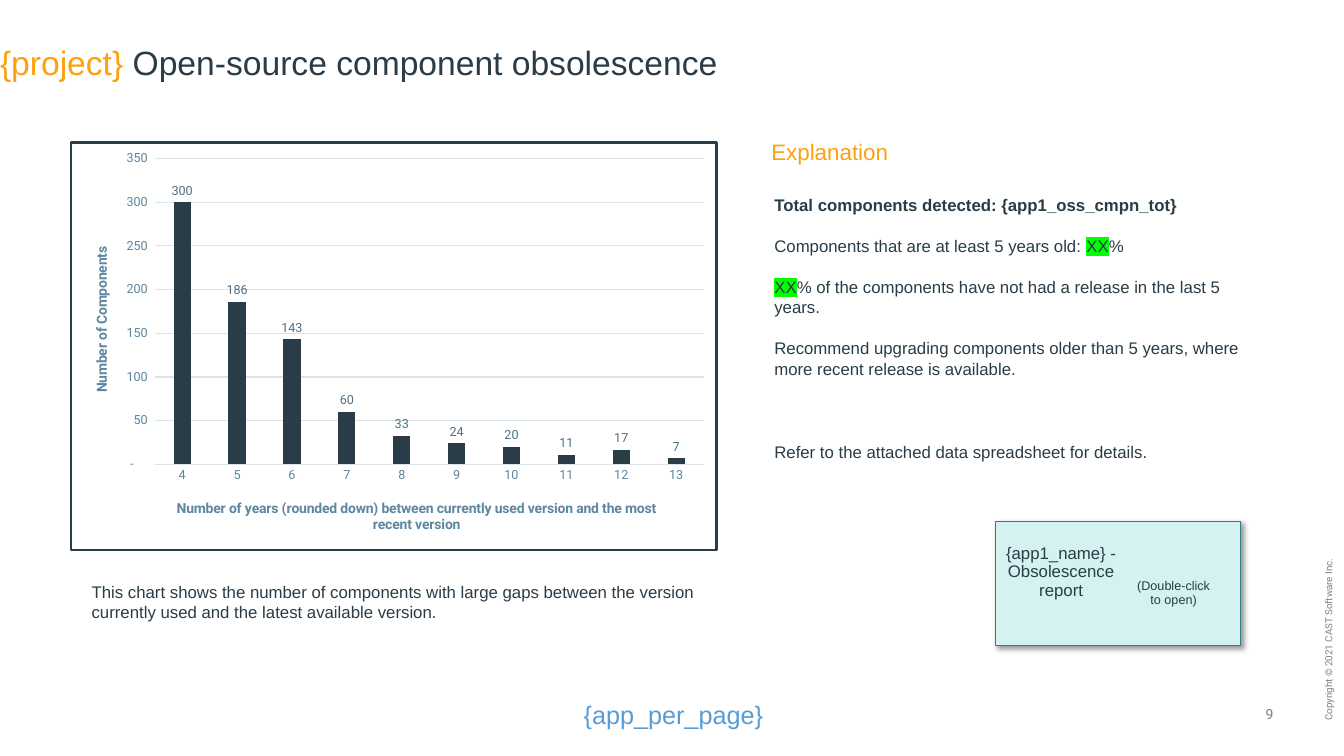
from lxml.etree import SubElement
from pptx import Presentation
from pptx.chart.data import CategoryChartData
from pptx.dml.color import RGBColor
from pptx.enum.chart import XL_CHART_TYPE, XL_LABEL_POSITION, XL_TICK_MARK
from pptx.enum.shapes import MSO_SHAPE
from pptx.enum.text import MSO_ANCHOR, MSO_AUTO_SIZE, PP_ALIGN
from pptx.oxml import parse_xml
from pptx.oxml.ns import nsdecls, qn
from pptx.util import Inches, Pt


class Theme:
    dark, orange, blue, gray = "293C47", "FDA110", "569CD6", "808080"
    axis, label, grid = "5C879F", "4D7186", "D9E3E9"
    marker, report_fill, report_line = "00FF00", "D4F2F0", "29837D"
    font, small_font = "Arial", "Roboto"
    title, footer, heading, body = 24, 18, 16, 12
    note, tiny, copyright = 10, 9, 7


COUNT_FORMAT = '_(* #,##0_);_(* \\(#,##0\\);_(* "-"??_);_(@_)'
OBSOLESCENCE = {4: 300, 5: 186, 6: 143, 7: 60, 8: 33,
                9: 24, 10: 20, 11: 11, 12: 17, 13: 7}
TEXT_INSETS = (0.1, 0.05, 0.1, 0.05)
# Paragraphs of the explanation, each with the space above it in points
EXPLANATION = [
    (0, [("Total components detected: {app1_oss_cmpn_tot}", {"bold": True})]),
    (15, ["Components that are at least 5 years old: ",
          ("XX", {"highlight": Theme.marker}), "%"]),
    (15, [("XX", {"highlight": Theme.marker}),
          "% of the components have not had a release in the last 5 years."]),
    (15, ["Recommend upgrading components older than 5 years, "
          "where more recent release is available."]),
    (45, ["Refer to the attached data spreadsheet for details."]),
]


def rgb(color):
    return RGBColor.from_string(color)


def style_font(font, size, color, name=Theme.small_font, bold=False):
    font.size, font.name, font.bold = Pt(size), name, bold
    font.color.rgb = rgb(color)


def write(frame, paragraphs, size=Theme.body, color=Theme.dark, font=Theme.font,
          align=PP_ALIGN.LEFT, anchor=MSO_ANCHOR.TOP, spacing=1.0, indent=0,
          insets=(0, 0, 0, 0)):
    """Fill a frame with (space above, runs) paragraphs; a run is text or (text, format)."""
    frame.word_wrap, frame.auto_size = True, MSO_AUTO_SIZE.NONE
    frame.vertical_anchor = anchor
    (frame.margin_left, frame.margin_top,
     frame.margin_right, frame.margin_bottom) = map(Inches, insets)
    if isinstance(paragraphs, str):
        paragraphs = [(0, [paragraphs])]
    for number, (space_above, runs) in enumerate(paragraphs):
        paragraph = frame.add_paragraph() if number else frame.paragraphs[0]
        paragraph.alignment, paragraph.line_spacing = align, spacing
        paragraph.space_before = Pt(space_above)
        properties = paragraph._p.get_or_add_pPr()
        properties.set("marL", str(Inches(indent)))
        properties.set("indent", "0")
        SubElement(properties, qn("a:buNone"))
        for entry in runs:
            text, look = (entry, {}) if isinstance(entry, str) else entry
            run = paragraph.add_run()
            run.text = text
            style_font(run.font, size, look.get("color", color), font,
                       look.get("bold", False))
            if "highlight" in look:
                run._r.rPr.find(qn("a:solidFill")).addnext(parse_xml(
                    f'<a:highlight {nsdecls("a")}>'
                    f'<a:srgbClr val="{look["highlight"]}"/></a:highlight>'))


def place(shape, *box):
    shape.left, shape.top, shape.width, shape.height = map(Inches, box)


def add_text(slide, box, text, **look):
    text_box = slide.shapes.add_textbox(*map(Inches, box))
    write(text_box.text_frame, text, **look)
    return text_box


def set_layout(parent, position, x, y, extent=""):
    """Place a chart part at fractions of the chart's size."""
    for layout in parent.findall(qn("c:layout")):
        parent.remove(layout)
    target = '<c:layoutTarget val="inner"/>' if extent else ""
    parent.insert(position, parse_xml(
        f'<c:layout {nsdecls("c")}><c:manualLayout>{target}'
        '<c:xMode val="edge"/><c:yMode val="edge"/>'
        f'<c:x val="{x}"/><c:y val="{y}"/>{extent}</c:manualLayout></c:layout>'))


def style_axis(axis, title, x, y):
    axis.major_tick_mark = axis.minor_tick_mark = XL_TICK_MARK.NONE
    style_font(axis.tick_labels.font, Theme.tiny, Theme.axis)
    run = axis.axis_title.text_frame.paragraphs[0].add_run()
    run.text = title
    style_font(run.font, Theme.note, Theme.axis, bold=True)
    set_layout(axis.axis_title._element, 1, x, y)


def add_obsolescence_chart(slide):
    data = CategoryChartData()
    data.categories = [str(years) for years in OBSOLESCENCE]
    data.add_series("Series 1", OBSOLESCENCE.values())
    box = map(Inches, (0.69, 1.4, 6.43, 4.07))
    chart = slide.shapes.add_chart(XL_CHART_TYPE.COLUMN_CLUSTERED, *box, data).chart
    chart.has_legend = chart.has_title = False
    style_font(chart.font, Theme.note, Theme.dark)

    # Columns and their labels
    plot = chart.plots[0]
    plot.gap_width, plot.overlap, plot.vary_by_categories = 219, -27, False
    columns = plot.series[0].format.fill
    columns.solid()
    columns.fore_color.rgb = rgb(Theme.dark)
    plot.has_data_labels = True
    labels = plot.data_labels
    labels.show_value, labels.position = True, XL_LABEL_POSITION.OUTSIDE_END
    labels.number_format, labels.number_format_is_linked = COUNT_FORMAT, False
    style_font(labels.font, Theme.tiny, Theme.label)

    # Axes
    years, count = chart.category_axis, chart.value_axis
    style_axis(years, "Number of years (rounded down) between currently used "
               "version and the most recent version", 0.16, 0.87)
    style_axis(count, "Number of Components", 0.03, 0.25)
    count.minimum_scale, count.maximum_scale, count.major_unit = 0, 350, 50
    count.tick_labels.number_format = COUNT_FORMAT
    count.tick_labels.number_format_is_linked = False
    count.format.line.fill.background()
    for line in (years.format.line, count.major_gridlines.format.line):
        line.color.rgb, line.width = rgb(Theme.grid), Pt(0.75)

    # Plot position and outer border
    space = chart._chartSpace
    set_layout(space.chart.plotArea, 0, 0.13, 0.04, '<c:w val="0.85"/><c:h val="0.75"/>')
    space.find(qn("c:txPr")).addprevious(parse_xml(
        f'<c:spPr {nsdecls("c", "a")}><a:noFill/><a:ln w="{Pt(1.75)}"><a:solidFill>'
        f'<a:srgbClr val="{Theme.dark}"/></a:solidFill></a:ln></c:spPr>'))


def add_report_card(slide):
    box = map(Inches, (9.87, 5.17, 2.43, 1.23))
    card = slide.shapes.add_shape(MSO_SHAPE.RECTANGLE, *box)
    card.fill.solid()
    card.fill.fore_color.rgb = rgb(Theme.report_fill)
    card.line.color.rgb, card.line.width = rgb(Theme.report_line), Pt(0.75)
    card.shadow.inherit = False
    card._element.spPr.find(qn("a:effectLst")).append(parse_xml(
        f'<a:outerShdw {nsdecls("a")} blurRad="{Pt(4)}" dist="{Pt(3)}" dir="2700000">'
        '<a:srgbClr val="000000"><a:alpha val="40000"/></a:srgbClr></a:outerShdw>'))
    write(card.text_frame, "{app1_name} - Obsolescence report", spacing=0.9,
          align=PP_ALIGN.CENTER, insets=(0.05, 0.24, 1.17, 0.05))
    add_text(slide, (11.22, 5.75, 0.84, 0.32), "(Double-click to open)",
             size=Theme.tiny, align=PP_ALIGN.CENTER, spacing=0.9)


def main():
    deck = Presentation()
    deck.slide_width, deck.slide_height = Inches(13.33), Inches(7.5)
    slide = deck.slides.add_slide(deck.slide_layouts[1])

    # Title and explanation
    title, explanation = slide.placeholders
    place(title, 0, 0.46, 12.04, 0.36)
    write(title.text_frame, [(0, [("{project} ", {"color": Theme.orange}),
                                  "Open-source component obsolescence"])],
          size=Theme.title, anchor=MSO_ANCHOR.MIDDLE, spacing=0.9)
    add_text(slide, (7.65, 1.42, 2.22, 0.22), "Explanation", size=Theme.heading,
             color=Theme.orange, anchor=MSO_ANCHOR.BOTTOM)
    place(explanation, 7.56, 1.93, 4.8, 3.03)
    write(explanation.text_frame, EXPLANATION, indent=0.12)

    # Chart with its caption, and the report to open
    add_obsolescence_chart(slide)
    add_text(slide, (0.69, 5.72, 6.55, 0.5),
             "This chart shows the number of components with large gaps between "
             "the version currently used and the latest available version.",
             indent=0.12, insets=TEXT_INSETS)
    add_report_card(slide)

    # Footer
    add_text(slide, (5.69, 6.89, 3.11, 0.4), "{app_per_page}", size=Theme.footer,
             color=Theme.blue, insets=TEXT_INSETS)
    add_text(slide, (12.21, 7, 0.42, 0.17), "9", size=Theme.note, color=Theme.gray,
             font=Theme.small_font, align=PP_ALIGN.RIGHT, anchor=MSO_ANCHOR.BOTTOM)
    rights = add_text(slide, (10.38, 4.29, 5.61, 0.11),
                      "Copyright © 2021 CAST Software Inc.", size=Theme.copyright,
                      color=Theme.gray, font=Theme.small_font, spacing=0.9)
    rights.rotation = 270
    deck.save("out.pptx")


if __name__ == "__main__":
    main()
